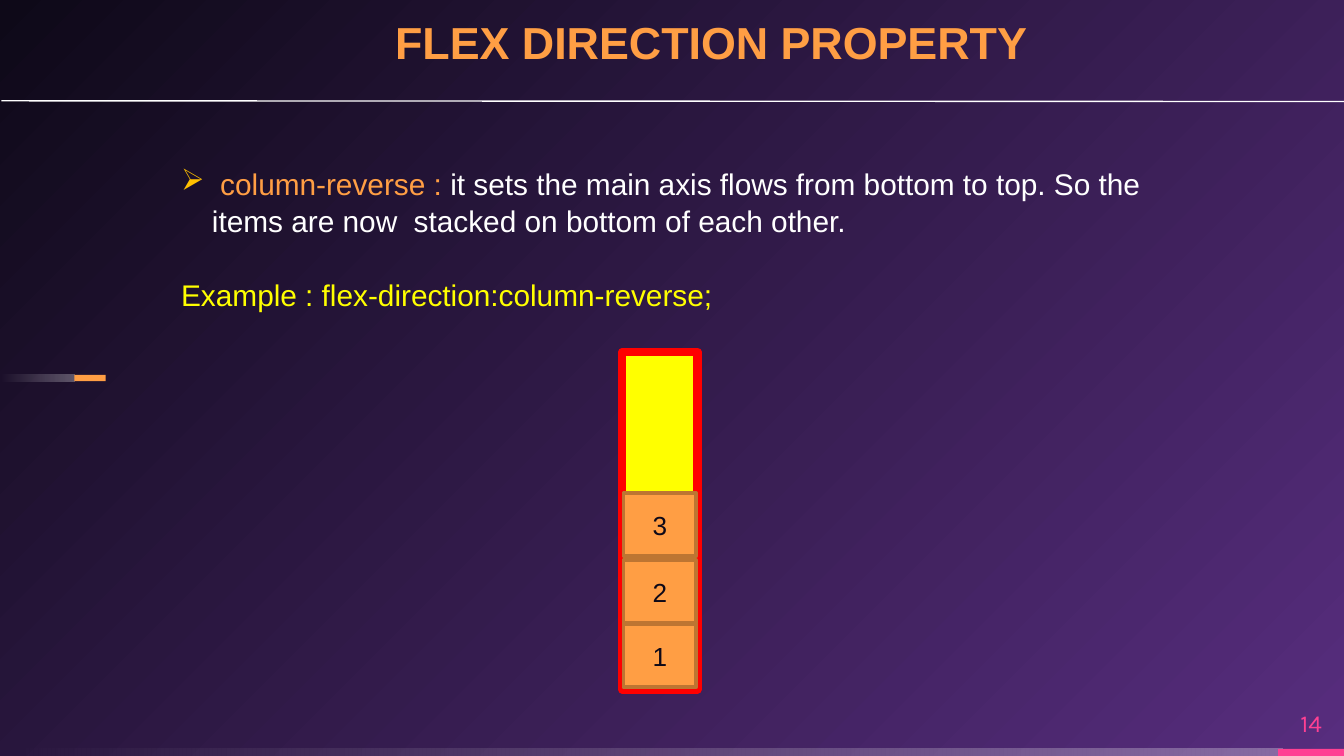
from dataclasses import dataclass
from pptx import Presentation
from pptx import util as u
from pptx.dml import color
from pptx.enum import shapes, text
from pptx.oxml import ns
from lxml import etree

Pt = u.Pt


@dataclass(frozen=True)
class Theme:
    white: str = "FFFFFF"
    orange: str = "FF9E44"
    brown: str = "BD7532"
    pink: str = "FF4093"
    yellow: str = "FFFF00"
    gold: str = "FFC000"
    red: str = "FF0000"
    purple: str = "572D7E"
    ink: str = "0E0918"
    font: str = "Arial"
    number_font: str = "Karla"
    title_size: int = 24
    body_size: int = 16
    item_size: int = 14
    number_size: int = 13


theme = Theme()
rgb = color.RGBColor.from_string


def add_block(page, kind, left, top, width, height, fill=None, line=None, weight=0):
    block = page.shapes.add_shape(kind, Pt(left), Pt(top), Pt(width), Pt(height))
    block.shadow.inherit = False
    if fill:
        block.fill.solid()
        block.fill.fore_color.rgb = rgb(fill)
    if line:
        block.line.color.rgb = rgb(line)
        block.line.width = Pt(weight)
        etree.SubElement(block.line._get_or_add_ln(), ns.qn("a:round"))
    else:
        block.line.fill.background()
    return block


def add_span(para, words, size, ink, font=theme.font, bold=False):
    span = para.add_run()
    span.text = words
    span.font.name = font
    span.font.size = Pt(size)
    span.font.bold = bold
    span.font.color.rgb = rgb(ink)


deck = Presentation()
deck.slide_width, deck.slide_height = Pt(720), Pt(405)
page = deck.slides.add_slide(deck.slide_layouts[6])

backdrop = page.background.fill
backdrop.gradient()
for stop, tone in zip(backdrop.gradient_stops, (theme.purple, theme.ink)):
    stop.color.rgb = rgb(tone)
gradient = page.background._cSld.find(".//" + ns.qn("a:gradFill"))
linear = gradient.find(ns.qn("a:lin"))
radial = etree.Element(ns.qn("a:path"), path="circle")
etree.SubElement(radial, ns.qn("a:fillToRect"), l="100000", t="100000")
gradient.replace(linear, radial)

rect = shapes.MSO_SHAPE.RECTANGLE
for left, top, width, height in ((0, 401.2, 686.9, 3.8), (0, 200.8, 40, 3.4)):
    fade = add_block(page, rect, left, top, width, height)
    fade.fill.gradient()
    fade.fill.gradient_angle = 180
    for stop, position in zip(fade.fill.gradient_stops, (0, 1)):
        stop.position = position
        stop.color.rgb = rgb(theme.white)
    tones = fade._element.spPr.findall(".//" + ns.qn("a:srgbClr"))
    for tone, alpha in zip(tones, ("30000", "0")):
        etree.SubElement(tone, ns.qn("a:alpha"), val=alpha)
add_block(page, rect, 684.7, 401.2, 35.3, 3.8, theme.pink)
add_block(page, rect, 39.8, 200.8, 16.8, 3.4, theme.orange)

labels = (
    ("14", 684.7, 373.7, 35.3, 27.4, text.MSO_ANCHOR.MIDDLE, text.PP_ALIGN.CENTER,
     theme.number_size, theme.pink, theme.number_font, False),
    ("FLEX DIRECTION PROPERTY", 211.7, 5.8, 364.3, 31, text.MSO_ANCHOR.BOTTOM,
     text.PP_ALIGN.LEFT, theme.title_size, theme.orange, theme.font, True),
)
for words, left, top, width, height, anchor, align, size, ink, font, bold in labels:
    box = page.shapes.add_textbox(Pt(left), Pt(top), Pt(width), Pt(height))
    frame = box.text_frame
    frame.word_wrap = True
    frame.vertical_anchor = anchor
    frame.margin_left = frame.margin_right = frame.margin_top = frame.margin_bottom = 0
    frame.paragraphs[0].alignment = align
    add_span(frame.paragraphs[0], words, size, ink, font, bold)

rule = page.shapes.add_connector(
    shapes.MSO_CONNECTOR.STRAIGHT, Pt(0.7), Pt(54), Pt(720), Pt(54.4))
rule.line.color.rgb = rgb(theme.white)
rule.line.width = Pt(0.75)
etree.SubElement(rule._element.spPr, ns.qn("a:effectLst"))

body = page.shapes.add_textbox(Pt(90), Pt(84.2), Pt(545), Pt(104.4)).text_frame
body.word_wrap = True
para = body.paragraphs[0]
settings = para._p.get_or_add_pPr()
settings.set("marL", str(Pt(16.5)))
settings.set("indent", str(-Pt(16.5)))
bullet_ink = etree.SubElement(settings, ns.qn("a:buClr"))
etree.SubElement(bullet_ink, ns.qn("a:srgbClr"), val=theme.gold)
etree.SubElement(settings, ns.qn("a:buChar"), char="➢")
para.line_spacing = 1.05
add_span(para, " column-reverse : ", theme.body_size, theme.orange)
add_span(para, "it sets the main axis flows from bottom to top. So the items are now  "
         "stacked on bottom of each other.", theme.body_size, theme.white)
para = body.add_paragraph()
para.line_spacing = 1.05
para.space_before = Pt(19.3)
add_span(para, "Example : flex-direction:column-reverse;", theme.body_size, theme.yellow)

process = shapes.MSO_SHAPE.FLOWCHART_PROCESS
add_block(page, process, 333.3, 188.6, 40.4, 180.7, theme.yellow, theme.red, 4.5)
for number, top in (("2", 300.2), ("1", 334.4), ("3", 264.2)):
    item = add_block(page, process, 334.1, top, 38.9, 33.8, theme.orange, theme.brown, 2)
    item.text_frame.vertical_anchor = text.MSO_ANCHOR.MIDDLE
    para = item.text_frame.paragraphs[0]
    para.alignment = text.PP_ALIGN.CENTER
    add_span(para, number, theme.item_size, theme.ink)

deck.save("out.pptx")
